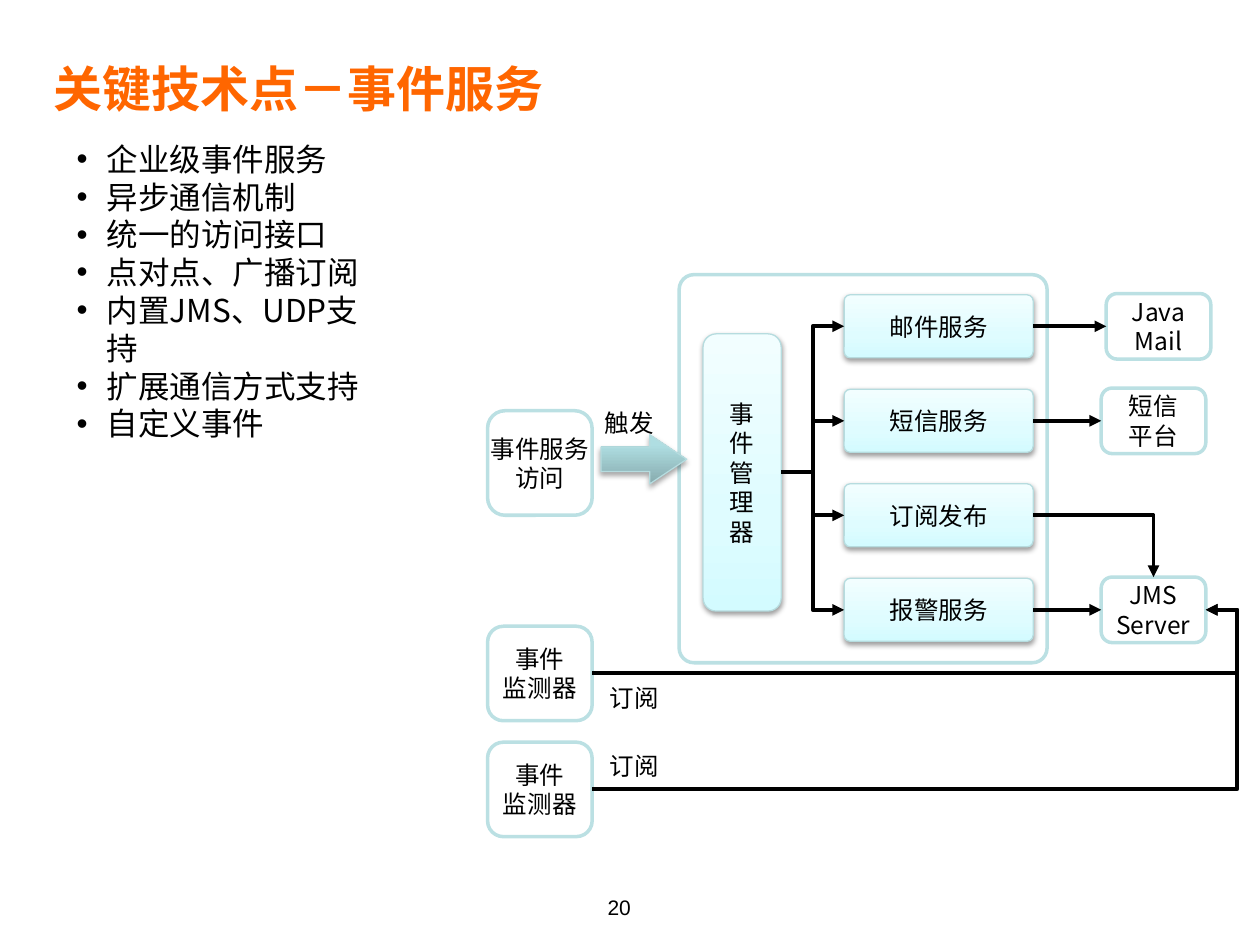
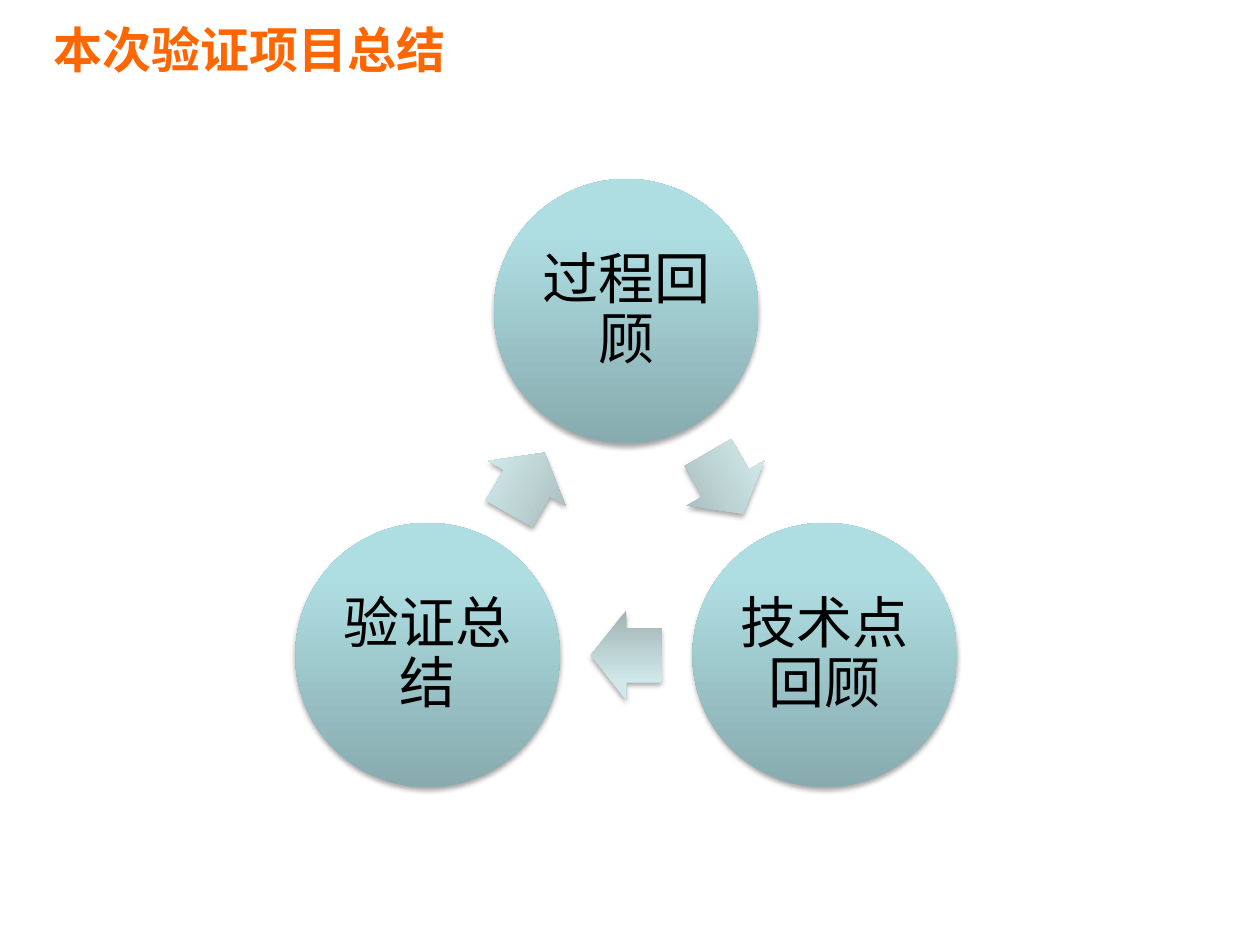
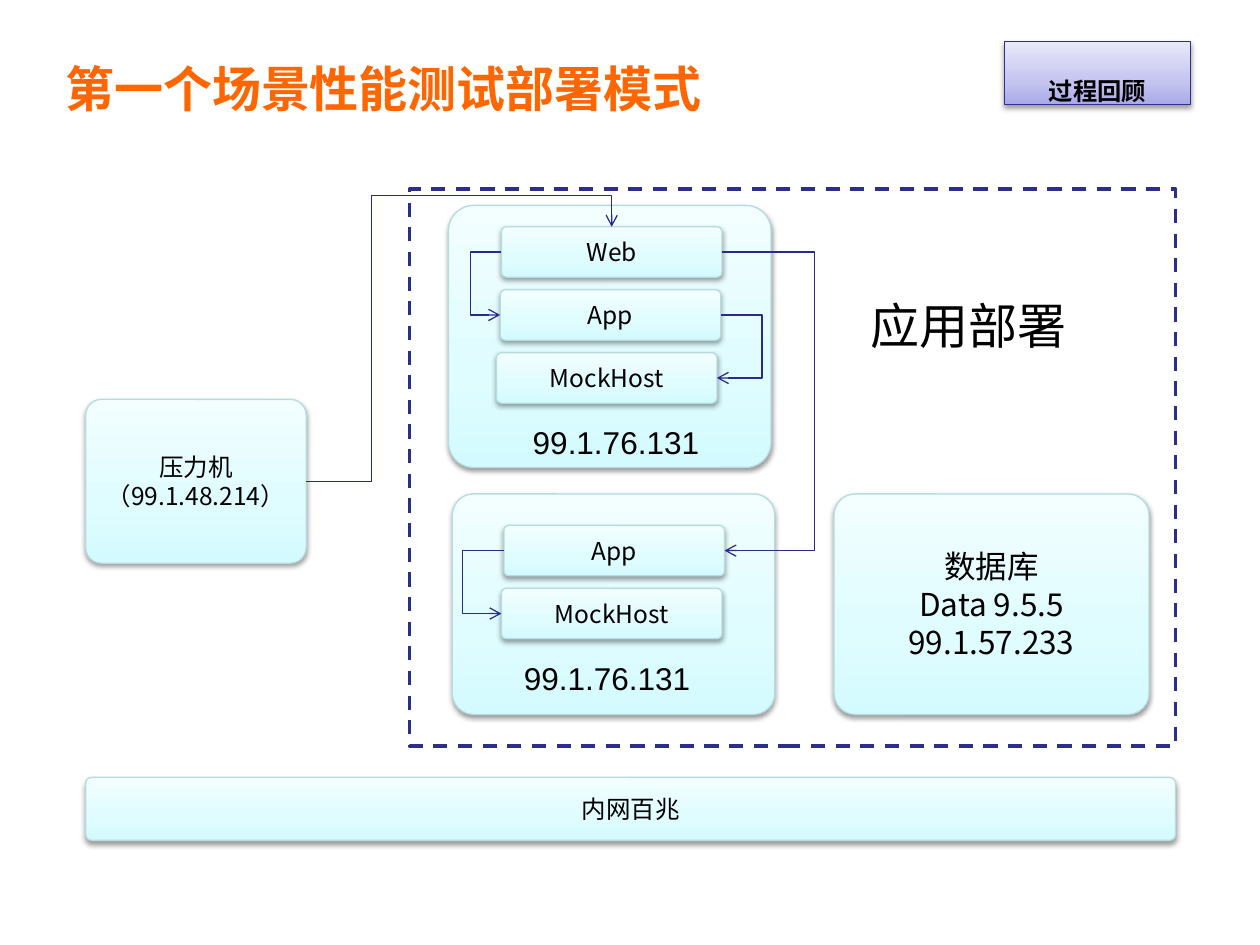
import copy
import math

import pptx
import pptx.dml.color
import pptx.enum.dml
import pptx.enum.shapes
import pptx.enum.text
import pptx.oxml.ns
import pptx.util
from lxml import etree

Inches = pptx.util.Inches
Pt = pptx.util.Pt
qn = pptx.oxml.ns.qn
SHAPE = pptx.enum.shapes.MSO_SHAPE
ALIGN = pptx.enum.text.PP_ALIGN
ANCHOR = pptx.enum.text.MSO_ANCHOR

COLORS = {
    "title": "FF6600",
    "text": "000000",
    "white": "FFFFFF",
    "outline": "BBE0E3",
    "panel_line": "B6DCDF",
    "badge_line": "2F2F98",
    "zone_line": "2D2D8A",
    "flow": "2A2A89",
}

# Gradients run from bottom to top: (position, colour)
GRADIENTS = {
    "panel": [(0, "D3FBFF"), (0.35, "DFFCFF"), (1, "F2FEFF")],
    "teal": [(0, "87ABAE"), (0.8, "AFDEE2"), (1, "AFE0E4")],
    "pale": [(0, "A0B3B4"), (0.8, "D0E8EA"), (1, "D0EAEC")],
    "badge": [(0, "A9A9E9"), (0.35, "C4C4EF"), (1, "E8E8FA")],
}

CJK_FONT = "Noto Sans CJK SC"
TOP, LEFT, RIGHT = 0, 1, 3  # connection sites


def rgb(name):
    return pptx.dml.color.RGBColor.from_string(COLORS.get(name, name))


def add_element(parent, tag, **attributes):
    element = etree.SubElement(parent, qn(tag))
    for key, value in attributes.items():
        element.set(key, str(value))
    return element


# Text

def set_text(shape, lines, size=14, font=CJK_FONT, color="text", bold=False,
             align=ALIGN.CENTER, anchor=ANCHOR.MIDDLE, wrap=False, bullet=False,
             inset=None, spacing=None, baseline=None):
    frame = shape.text_frame
    frame.word_wrap = wrap
    frame.vertical_anchor = anchor
    if inset is not None:
        for side in ("left", "top", "right", "bottom"):
            setattr(frame, f"margin_{side}", Inches(inset))
    font_format = {"size": Pt(size), "name": font, "bold": bold}
    for index, line in enumerate(lines):
        paragraph = frame.paragraphs[0] if index == 0 else frame.add_paragraph()
        paragraph.alignment = align
        if spacing:
            paragraph.line_spacing = spacing
        if bullet:
            properties = paragraph._p.get_or_add_pPr()
            properties.set("marL", str(Inches(0.24)))
            properties.set("indent", str(-Inches(0.24)))
            add_element(properties, "a:buFont", typeface="Arial")
            add_element(properties, "a:buChar", char="•")
        run = paragraph.add_run()
        run.text = line
        for key, value in font_format.items():
            setattr(run.font, key, value)
        run.font.color.rgb = rgb(color)
        run_properties = run._r.get_or_add_rPr()
        add_element(run_properties, "a:ea", typeface=CJK_FONT)
        if baseline:
            run_properties.set("baseline", str(baseline))


def add_text(slide, box, lines, **text_format):
    shape = slide.shapes.add_textbox(*map(Inches, box))
    set_text(shape, lines, **text_format)
    return shape


def add_title(slide, text, left=0.33, top=0.39):
    add_text(slide, (left, top, 9.42, 0.61), [text], size=28, font="Arial",
             color="title", bold=True, align=ALIGN.LEFT, wrap=True)


def add_label(slide, left, top, text):
    add_text(slide, (left, top, 0.6, 0.34), [text], align=ALIGN.LEFT,
             anchor=ANCHOR.TOP)


# Shapes

def add_shape(slide, kind, box, line=None, width=0.75, adjustments=()):
    shape = slide.shapes.add_shape(kind, *map(Inches, box))
    shape.shadow.inherit = False
    for index, value in enumerate(adjustments):
        shape.adjustments[index] = value
    if line:
        shape.line.color.rgb = rgb(line)
        shape.line.width = Pt(width)
    else:
        shape.line.fill.background()
    return shape


def add_gradient_shape(slide, kind, box, gradient, line=None, adjustments=(),
                       alpha=38, distance=1.6):
    shape = add_shape(slide, kind, box, line, adjustments=adjustments)
    shape.fill.gradient()
    shape.fill.gradient_angle = 90
    properties = shape._element.spPr
    stop_list = properties.find(".//" + qn("a:gsLst"))
    stop_list.append(copy.deepcopy(stop_list[0]))
    for stop, (position, color) in zip(shape.fill.gradient_stops, GRADIENTS[gradient]):
        stop.position = position
        stop.color.rgb = rgb(color)
    shadow = add_element(properties.find(qn("a:effectLst")), "a:outerShdw",
                         blurRad=Pt(3.1), dist=Pt(distance), dir=5400000,
                         rotWithShape=0)
    shadow_color = add_element(shadow, "a:srgbClr", val=COLORS["text"])
    add_element(shadow_color, "a:alpha", val=alpha * 1000)
    return shape


def add_panel(slide, box, lines=(), corner=0.096, **text_format):
    shape = add_gradient_shape(slide, SHAPE.ROUNDED_RECTANGLE, box, "panel",
                               "panel_line", [corner])
    set_text(shape, lines, **text_format)
    return shape


def add_outlined_box(slide, box, lines=(), corner=0.167):
    shape = add_shape(slide, SHAPE.ROUNDED_RECTANGLE, box, "outline", 2, [corner])
    shape.fill.solid()
    shape.fill.fore_color.rgb = rgb("white")
    set_text(shape, lines)
    return shape


def add_arrow(slide, box, gradient, adjustments, line=None, rotation=0):
    arrow = add_gradient_shape(slide, SHAPE.RIGHT_ARROW, box, gradient, line,
                               adjustments, alpha=35, distance=1.8)
    arrow.rotation = rotation
    return arrow


# Connectors

def connect(slide, source, source_side, target, target_side, preset="straightConnector1",
            bend_x=None, bend_y=None, color="text", width=2.25, head="triangle"):
    """Join two shapes; bend_x and bend_y place the corners of an elbow."""
    connector = slide.shapes.add_connector(
        pptx.enum.shapes.MSO_CONNECTOR.STRAIGHT, 0, 0, 0, 0)
    connector.begin_connect(source, source_side)
    connector.end_connect(target, target_side)
    connector.line.color.rgb = rgb(color)
    connector.line.width = Pt(width)
    properties = connector._element.spPr
    add_element(properties.find(qn("a:ln")), "a:tailEnd", type=head)
    add_element(properties, "a:effectLst")

    geometry = properties.find(qn("a:prstGeom"))
    geometry.set("prst", preset)
    guides = geometry.find(qn("a:avLst"))
    bends = ((bend_x, connector.begin_x, connector.end_x),
             (bend_y, connector.begin_y, connector.end_y))
    for number, (bend, begin, end) in enumerate(bends, 1):
        if bend is not None:
            fraction = (Inches(bend) - begin) / (end - begin)
            add_element(guides, "a:gd", name=f"adj{number}",
                        fmla=f"val {round(fraction * 100000)}")
    return connector


# Slides

def build_event_service(slide):
    add_title(slide, "关键技术点－事件服务")
    add_text(slide, (3.75, 6.83, 2.33, 0.52), ["20"], size=12, font="Arial",
             anchor=ANCHOR.BOTTOM, wrap=True)
    add_text(slide, (0.51, 1.06, 2.6, 2.22),
             ["企业级事件服务", "异步通信机制", "统一的访问接口", "点对点、广播订阅",
              "内置JMS、UDP支持", "扩展通信方式支持", "自定义事件"],
             size=18, align=ALIGN.LEFT, anchor=ANCHOR.TOP, wrap=True, bullet=True)

    # Event manager and its services
    add_outlined_box(slide, (5.39, 2.18, 2.92, 3.08), corner=0.04)
    manager = add_panel(slide, (5.58, 2.65, 0.62, 2.2), list("事件管理器"), corner=0.167)
    services = []
    for row, name in enumerate(["邮件服务", "短信服务", "订阅发布", "报警服务"]):
        service = add_panel(slide, (6.7, 2.34 + 0.75 * row, 1.5, 0.5), [name])
        connect(slide, manager, RIGHT, service, LEFT, "bentConnector3", bend_x=6.45)
        services.append(service)
    mail, message, publishing, alarm = services

    # Access from the left
    add_arrow(slide, (4.77, 3.45, 0.68, 0.39), "teal", [0.5, 0.75], "panel_line")
    add_label(slide, 4.7, 3.19, "触发")
    add_outlined_box(slide, (3.87, 3.26, 0.83, 0.83), ["事件服务", "访问"])

    # External systems, each level with its service
    systems = []
    for left, row, lines in [(8.78, 0, ["Java", "Mail"]), (8.74, 1, ["短信", "平台"]),
                             (8.74, 3, ["JMS", "Server"])]:
        systems.append(add_outlined_box(
            slide, (left, 2.33 + 0.75 * row, 0.83, 0.52), lines))
    for service, system in zip((mail, message, alarm), systems):
        connect(slide, service, RIGHT, system, LEFT)
    jms_server = systems[-1]
    connect(slide, publishing, RIGHT, jms_server, TOP, "bentConnector2")

    # Subscribing monitors
    for top, label_top in [(4.97, 5.37), (5.89, 5.91)]:
        monitor = add_outlined_box(slide, (3.87, top, 0.83, 0.75), ["事件", "监测器"])
        connect(slide, monitor, RIGHT, jms_server, RIGHT, "bentConnector3", bend_x=9.82)
        add_label(slide, 4.74, label_top, "订阅")


def build_summary(slide):
    add_title(slide, "本次验证项目总结", top=0.08)
    center_x, center_y, radius, diameter = 4.97, 4.29, 1.82, 2.1
    arrow_width, arrow_height = 0.56, 0.71

    def around(distance, degrees, width, height):
        angle = math.radians(degrees)
        return (center_x + distance * math.sin(angle) - width / 2,
                center_y - distance * math.cos(angle) - height / 2, width, height)

    for step, text in enumerate(["过程回顾", "技术点回顾", "验证总结"]):
        degrees = 120 * step
        circle = add_gradient_shape(
            slide, SHAPE.OVAL, around(radius, degrees, diameter, diameter), "teal",
            alpha=35, distance=1.8)
        set_text(circle, [text], size=32, font="Arial", wrap=True, inset=0.04,
                 spacing=0.9)
        add_arrow(slide, around(radius / 2, degrees + 60, arrow_width, arrow_height),
                  "pale", [0.6, 0.5], rotation=degrees + 60)


def build_deployment(slide):
    # Deployment zone
    zone = add_shape(slide, SHAPE.RECTANGLE, (3.25, 1.5, 6.08, 4.42), "zone_line", 2)
    zone.fill.solid()
    zone.fill.fore_color.rgb = rgb("white")
    zone.line.dash_style = pptx.enum.dml.MSO_LINE.DASH

    add_title(slide, "第一个场景性能测试部署模式", left=0.42)
    badge = add_gradient_shape(slide, SHAPE.RECTANGLE, (7.97, 0.33, 1.48, 0.5),
                               "badge", "badge_line")
    set_text(badge, ["过程回顾"], size=24, font="Arial", bold=True,
             anchor=ANCHOR.TOP, wrap=True, baseline=-25000)

    load_machine = add_panel(slide, (0.68, 3.17, 1.75, 1.3), ["压力机", "（99.1.48.214）"])
    add_panel(slide, (6.62, 3.92, 2.5, 1.75), ["数据库", "Data 9.5.5", "99.1.57.233"],
              size=18)

    # Hosts: frame, address position, components as (left, top, name)
    hosts = [
        ((3.56, 1.63, 2.56, 2.08), (4.13, 3.31),
         [(3.98, 1.8, "Web"), (3.97, 2.3, "App"), (3.94, 2.8, "MockHost")]),
        ((3.59, 3.92, 2.56, 1.75), (4.06, 5.18),
         [(4, 4.17, "App"), (3.98, 4.67, "MockHost")]),
    ]
    components = []
    for frame, address, parts in hosts:
        add_panel(slide, frame)
        add_text(slide, (*address, 1.9, 0.4), ["99.1.76.131"], size=18, font="Arial",
                 align=ALIGN.LEFT, anchor=ANCHOR.TOP, wrap=True)
        for left, top, name in parts:
            components.append(add_panel(slide, (left, top, 1.75, 0.4), [name]))
    web, first_app, first_mock, second_app, second_mock = components
    add_text(slide, (6.81, 2.3, 2.13, 0.57), ["应用部署"], size=28, align=ALIGN.LEFT,
             anchor=ANCHOR.TOP, wrap=True)

    # Request flow
    flow = {"color": "flow", "width": 0.75, "head": "arrow"}
    for source, target, side, bend_x in [
            (web, second_app, RIGHT, 6.46), (web, first_app, LEFT, 3.73),
            (first_app, first_mock, RIGHT, 6.05), (second_app, second_mock, LEFT, 3.67)]:
        connect(slide, source, side, target, side, "bentConnector3", bend_x, **flow)
    connect(slide, load_machine, RIGHT, web, TOP, "bentConnector4", 2.95, 1.55, **flow)

    add_panel(slide, (0.68, 6.17, 8.65, 0.5), ["内网百兆"])


def main():
    presentation = pptx.Presentation()
    presentation.slide_width = Inches(10)
    presentation.slide_height = Inches(7.5)
    blank_layout = presentation.slide_layouts[6]
    for build in (build_event_service, build_summary, build_deployment):
        build(presentation.slides.add_slide(blank_layout))
    presentation.save("out.pptx")


if __name__ == "__main__":
    main()
